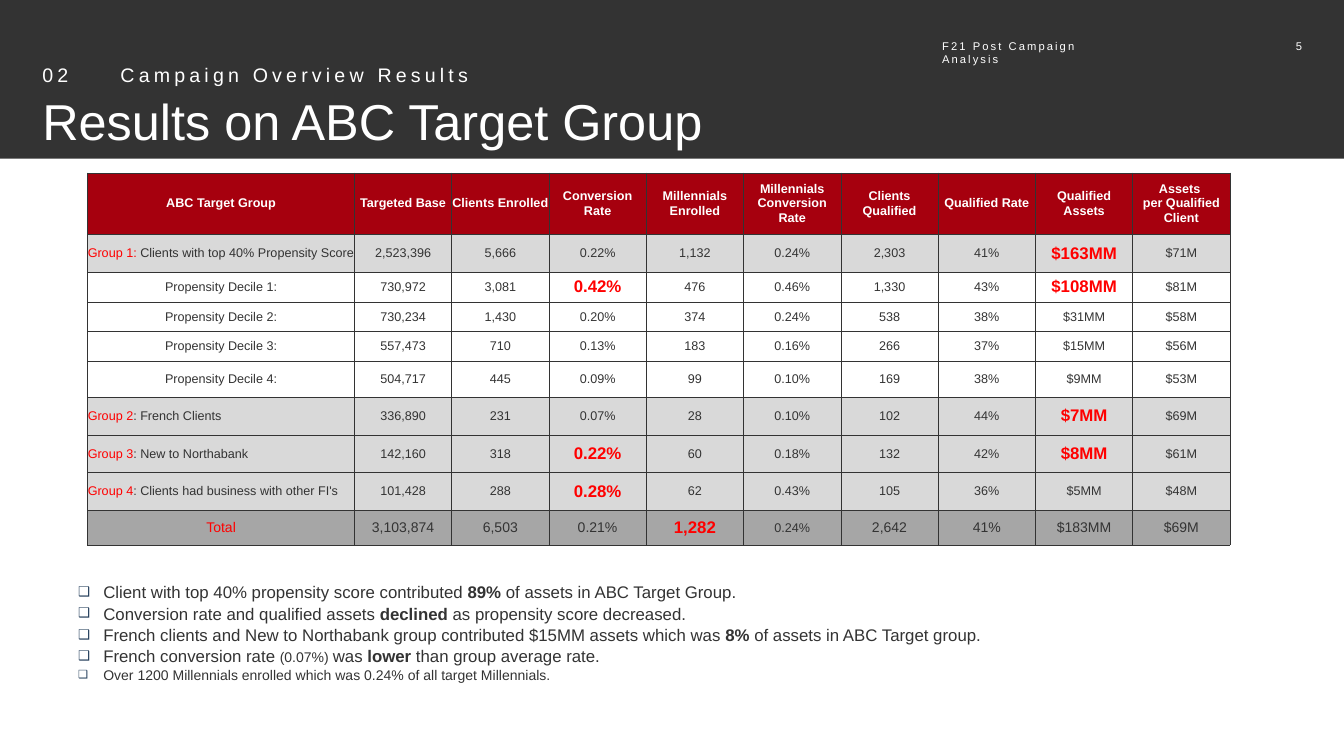
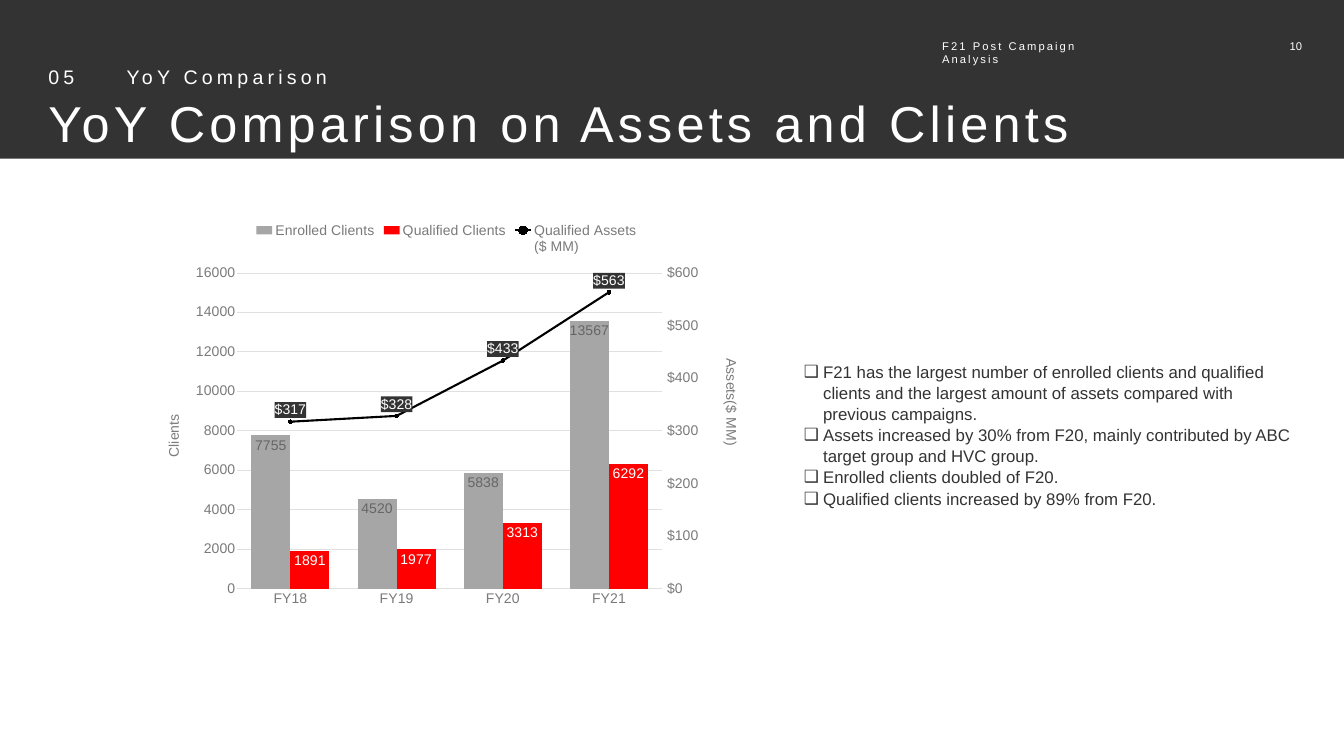
from copy import deepcopy

from lxml import etree
from pptx import Presentation
from pptx.chart.axis import CategoryAxis, ValueAxis
from pptx.chart.data import CategoryChartData as Data
from pptx.dml.color import RGBColor as Rgb
from pptx.enum.chart import XL_CHART_TYPE as Kind
from pptx.enum.chart import XL_LABEL_POSITION as Spot
from pptx.enum.chart import XL_LEGEND_POSITION as Side
from pptx.enum.chart import XL_MARKER_STYLE as Dot
from pptx.enum.chart import XL_TICK_MARK as Tick
from pptx.enum.shapes import MSO_SHAPE as Form
from pptx.enum.text import MSO_ANCHOR as Anchor
from pptx.enum.text import PP_ALIGN as Align
from pptx.oxml import parse_xml
from pptx.oxml.ns import nsdecls, qn
from pptx.util import Emu, Inches, Pt

DARK = Rgb(0x33, 0x33, 0x33)
WHITE = Rgb(0xFF, 0xFF, 0xFF)
BLACK = Rgb(0, 0, 0)
RED = Rgb(0xFF, 0, 0)
WINE = Rgb(0xA6, 0, 0x0E)
PALE = Rgb(0xD9, 0xD9, 0xD9)
GRAY = Rgb(0xA6, 0xA6, 0xA6)
SLATE = Rgb(0x66, 0x66, 0x66)
MUTED = Rgb(0x7A, 0x7A, 0x7A)
RULE = Rgb(0xE0, 0xE0, 0xE0)
NAVY = Rgb(0x23, 0x3E, 0x5B)
FACE = "Arial"

HEADS = ["ABC Target Group", "Targeted Base", "Clients Enrolled",
         "Conversion Rate", "Millennials Enrolled",
         "Millennials\vConversion Rate", "Clients\vQualified",
         "Qualified Rate", "Qualified\vAssets",
         "Assets \vper Qualified Client"]
ROWS = [
    ("Group 1: |Clients with top 40% Propensity Score",
     "2,523,396 5,666 0.22% 1,132 0.24% 2,303 41% *$163MM $71M"),
    ("Propensity Decile 1:",
     "730,972 3,081 *0.42% 476 0.46% 1,330 43% *$108MM $81M"),
    ("Propensity Decile 2:",
     "730,234 1,430 0.20% 374 0.24% 538 38% $31MM $58M"),
    ("Propensity Decile 3:",
     "557,473 710 0.13% 183 0.16% 266 37% $15MM $56M"),
    ("Propensity Decile 4:",
     "504,717 445 0.09% 99 0.10% 169 38% $9MM $53M"),
    ("Group 2|: French Clients",
     "336,890 231 0.07% 28 0.10% 102 44% *$7MM $69M"),
    ("Group 3|: New to Northabank",
     "142,160 318 *0.22% 60 0.18% 132 42% *$8MM $61M"),
    ("Group 4|: Clients had business with other FI's",
     "101,428 288 *0.28% 62 0.43% 105 36% $5MM $48M"),
    ("Total",
     "3,103,874 6,503 0.21% *1,282 0.24% 2,642 41% $183MM $69M"),
]
WIDTHS = [19.84] + [7.24] * 9
HEIGHTS = [8.13, 5, 3.93, 3.93, 3.93, 4.73, 5, 5, 5, 4.6]
BOLD = {"bold": True}
FACTS = [
    ["Client with top 40% propensity score contributed ", ("89% ", BOLD),
     "of assets in ABC Target Group."],
    ["Conversion rate and qualified assets ", ("declined", BOLD),
     " as propensity score decreased."],
    ["French clients and New to Northabank group contributed $15MM assets "
     "which was ", ("8%", BOLD), " of assets in ABC Target group."],
    ["French conversion rate ", ("(0.07%) ", {"size": 20}), "was ",
     ("lower", BOLD), " than group average rate."],
    ["Over 1200 Millennials enrolled which was 0.24% of all target "
     "Millennials."],
]
NOTES = [
    ["F21 has the largest number of enrolled clients and qualified clients "
     "and the largest amount of assets compared with previous campaigns."],
    ["Assets increased by 30% from F20, mainly contributed by ABC target "
     "group and HVC group."],
    ["Enrolled clients doubled of F20."],
    ["Qualified clients increased by 89% from F20."],
]


def style(font, size=None, color=None, bold=None):
    font.name = FACE
    if size:
        font.size = Pt(size)
    if color is not None:
        font.color.rgb = color
    if bold is not None:
        font.bold = bold


def place(owner, spot, **share):
    old = owner.find(qn("c:layout"))
    if old is not None:
        owner.remove(old)
    mode = "".join(f'<c:{k}Mode val="edge"/>' for k in "xy")
    if "w" in share:
        mode = '<c:layoutTarget val="inner"/>' + mode
    size = "".join(f'<c:{k} val="{v}"/>' for k, v in share.items())
    owner.insert(spot, parse_xml(
        f'<c:layout {nsdecls("c")}><c:manualLayout>{mode}{size}'
        '</c:manualLayout></c:layout>'))


class Deck:
    def __init__(self):
        self.file = Presentation()
        self.wide = self.file.slide_width = Inches(26.66)
        self.high = self.file.slide_height = Inches(15)
        self.slide = None

    def x(self, share):
        return Emu(round(self.wide * share / 100))

    def y(self, share):
        return Emu(round(self.high * share / 100))

    def area(self, left, top, wide, high):
        return self.x(left), self.y(top), self.x(wide), self.y(high)

    def page(self, mark, part, title, number, left, top, space):
        self.slide = self.file.slides.add_slide(self.file.slide_layouts[6])
        band = self.slide.shapes.add_shape(
            Form.RECTANGLE, *self.area(0, 0, 100, 21))
        band.shadow.inherit = False
        band.fill.solid()
        band.fill.fore_color.rgb = DARK
        band.line.fill.background()
        page = self.box(94.97, 4.87, 1.91, 2.47)
        page.vertical_anchor = Anchor.MIDDLE
        self.para(page, [number], 16, WHITE, align=Align.RIGHT)
        head = self.box(left, top, 95.72, 11.2)
        self.para(head, [f"{mark}\t{part}"], 28, WHITE, space=6, tab=1.55,
                  lead=1.05)
        self.para(head, [title], 72, WHITE, space=space, lead=1.05)
        self.para(self.box(70.1, 5.2, 14.33, 1.8),
                  ["F21 Post Campaign Analysis"], 16, WHITE, space=3)

    def box(self, left, top, wide, high, side=0, edge=0):
        frame = self.slide.shapes.add_textbox(
            *self.area(left, top, wide, high)).text_frame
        frame.word_wrap = True
        frame.margin_left = frame.margin_right = Inches(side)
        frame.margin_top = frame.margin_bottom = Inches(edge)
        return frame

    def para(self, frame, runs, size, color, bold=None, align=None, lead=None,
             space=0, tab=0, bullet=0, tint=None):
        first = frame.paragraphs[0]
        para = frame.add_paragraph() if first.runs else first
        if align is not None:
            para.alignment = align
        if lead:
            para.line_spacing = lead
        prop = para._p.get_or_add_pPr()
        if bullet:
            prop.set("marL", str(Inches(bullet)))
            prop.set("indent", str(-Inches(bullet)))
            if tint is not None:
                hue = etree.SubElement(prop, qn("a:buClr"))
                etree.SubElement(hue, qn("a:srgbClr"), val=str(tint))
                etree.SubElement(prop, qn("a:buSzPct"), val="80000")
            etree.SubElement(prop, qn("a:buFont"), typeface=FACE)
            etree.SubElement(prop, qn("a:buChar"), char="❑")
        if tab:
            tabs = etree.SubElement(prop, qn("a:tabLst"))
            etree.SubElement(tabs, qn("a:tab"), pos=str(Inches(tab)),
                             algn="l")
        style(para.font, size, color, bold)
        if space:
            prop.find(qn("a:defRPr")).set("spc", str(space * 100))
        for item in runs:
            text, extra = (item, None) if isinstance(item, str) else item
            for spot, line in enumerate(text.split("\v")):
                if spot:
                    para.add_line_break()
                run = para.add_run()
                run.text = line
                if extra:
                    style(run.font, **extra)

    def bullets(self, frame, items, indent, tint=None):
        for runs in items:
            size = 20 if runs[0].startswith("Over") else 24
            self.para(frame, runs, size, DARK, lead=1.05, bullet=indent,
                      tint=tint)

    def cell(self, cell, runs, fill, size, color, bold, align):
        cell.margin_left = cell.margin_right = 0
        cell.margin_top = cell.margin_bottom = 0
        cell.vertical_anchor = Anchor.MIDDLE
        prop = cell._tc.get_or_add_tcPr()
        for edge in "LRTB":
            line = etree.SubElement(prop, qn(f"a:ln{edge}"), w=str(Pt(1)))
            paint = etree.SubElement(line, qn("a:solidFill"))
            etree.SubElement(paint, qn("a:srgbClr"), val=str(DARK))
        if fill is None:
            cell.fill.background()
        else:
            cell.fill.solid()
            cell.fill.fore_color.rgb = fill
        self.para(cell.text_frame, runs, size, color, bold, align)

    def table(self, left, top):
        table = self.slide.shapes.add_table(
            len(HEIGHTS), len(WIDTHS),
            *self.area(left, top, sum(WIDTHS), sum(HEIGHTS))).table
        table.first_row = table.horz_banding = False
        for col, wide in zip(table.columns, WIDTHS):
            col.width = self.x(wide)
        for row, high in zip(table.rows, HEIGHTS):
            row.height = self.y(high)
        for c, head in enumerate(HEADS):
            self.cell(table.cell(0, c), [head], WINE, 18, WHITE, True,
                      Align.CENTER)
        for r, (name, line) in enumerate(ROWS, 1):
            total, group = name == "Total", "|" in name
            fill = GRAY if total else PALE if group else None
            base = 20 if total else 18
            runs = [name]
            if group:
                mark, rest = name.split("|")
                runs = [(mark, {"color": RED}), rest]
            self.cell(table.cell(r, 0), runs, fill, base,
                      RED if total else DARK, False,
                      Align.LEFT if group else Align.CENTER)
            for c, text in enumerate(line.split(), 1):
                hot = text.startswith("*")
                size = 24 if hot else 18 if c == 5 else base
                self.cell(table.cell(r, c), [text.lstrip("*")], fill, size,
                          RED if hot else DARK, hot, Align.CENTER)

    def scale(self, axis, name, turn, left, top, peak, step, form):
        axis.minimum_scale, axis.maximum_scale = 0, peak
        axis.major_unit = step
        axis.format.line.fill.background()
        style(axis.tick_labels.font, 20, MUTED)
        axis.tick_labels.number_format = form
        axis.tick_labels.number_format_is_linked = False
        title = axis.axis_title
        title.text_frame.text = name
        style(title.text_frame.paragraphs[0].font, 20, MUTED, False)
        node = title._element
        body = node.find(".//" + qn("a:bodyPr"))
        body.set("rot", str(turn * 60000))
        body.set("vert", "horz")
        place(node, 1, x=left, y=top)

    def labels(self, series, spot, color):
        marks = series.data_labels
        marks.show_value = True
        marks.position = spot
        style(marks.font, 20, color)
        return marks

    def chart(self, left, top, wide, high):
        data = Data()
        data.categories = ["FY18", "FY19", "FY20", "FY21"]
        data.add_series("Enrolled Clients", [7755, 4520, 5838, 13567])
        data.add_series("Qualified Clients", [1891, 1977, 3313, 6292])
        data.add_series("Qualified Assets\n($ MM)", [317, 328, 433, 563])
        chart = self.slide.shapes.add_chart(
            Kind.COLUMN_CLUSTERED, *self.area(left, top, wide, high),
            data).chart
        style(chart.font, 20, DARK)
        chart.has_title = False
        chart.has_legend = True
        chart.legend.position = Side.TOP
        chart.legend.include_in_layout = False
        style(chart.legend.font, 20, MUTED)
        bars = chart.plots[0]
        bars.gap_width, bars.overlap = 72, 0
        bars.vary_by_categories = False

        cat, val = chart.category_axis, chart.value_axis
        cat.major_tick_mark = val.major_tick_mark = Tick.NONE
        style(cat.tick_labels.font, 20, MUTED)
        cat.format.line.color.rgb = RULE
        cat.format.line.width = Pt(0.75)
        base, left_el = cat._element, val._element
        low, right_el = deepcopy(base), deepcopy(left_el)
        ids = {"c:axId": ("5001", "5002"), "c:crossAx": ("5002", "5001")}
        for tag, pair in ids.items():
            for node, key in zip((low, right_el), pair):
                node.find(qn(tag)).set("val", key)
        right_el.find(qn("c:axPos")).set("val", "r")
        right_el.find(qn("c:crosses")).set("val", "max")
        left_el.addnext(right_el)
        right_el.addnext(low)
        CategoryAxis(low).visible = False
        right = ValueAxis(right_el)
        right.has_major_gridlines = False
        right.major_tick_mark = Tick.OUTSIDE
        val.major_gridlines.format.line.color.rgb = RULE
        val.major_gridlines.format.line.width = Pt(0.75)
        self.scale(val, "Clients", -90, 0.02, 0.49, 16000, 2000, "General")
        self.scale(right, "Assets($ MM)", 90, 0.96, 0.35, 600, 100,
                   '"$"#,##0')

        group = parse_xml(
            f'<c:lineChart {nsdecls("c")}><c:grouping val="standard"/>'
            '<c:varyColors val="0"/><c:marker val="1"/>'
            '<c:axId val="5001"/><c:axId val="5002"/></c:lineChart>')
        node = bars.series[2]._element
        flip = node.find(qn("c:invertIfNegative"))
        if flip is not None:
            node.remove(flip)
        area = base.getparent()
        area.find(qn("c:barChart")).addnext(group)
        group.insert(2, node)
        place(area, 0, x=0.147, y=0.141, w=0.717, h=0.794)

        for series, fill, ink in zip(bars.series, (GRAY, RED),
                                     (SLATE, WHITE)):
            series.format.fill.solid()
            series.format.fill.fore_color.rgb = fill
            self.labels(series, Spot.INSIDE_END, ink)
        trend = chart.plots[1].series[0]
        trend.smooth = False
        trend.format.line.color.rgb = BLACK
        trend.format.line.width = Pt(3)
        trend.marker.style, trend.marker.size = Dot.CIRCLE, 5
        trend.marker.format.fill.solid()
        trend.marker.format.fill.fore_color.rgb = DARK
        trend.marker.format.line.color.rgb = BLACK
        marks = self.labels(trend, Spot.ABOVE, WHITE)
        marks.number_format = '"$"#,##0'
        marks.number_format_is_linked = False
        marks._element.find(qn("c:numFmt")).addnext(parse_xml(
            f'<c:spPr {nsdecls("c", "a")}><a:solidFill>'
            f'<a:srgbClr val="{DARK}"/></a:solidFill></c:spPr>'))


def main():
    deck = Deck()
    deck.page("02", "Campaign Overview Results",
              "Results on ABC Target Group", "5", 3.15, 8.2, 0)
    deck.bullets(deck.box(5.81, 76.87, 92.27, 13.47), FACTS, 0.5, NAVY)
    deck.table(6.53, 22.87)
    deck.page("05", "YoY Comparison",
              "YoY Comparison on Assets and Clients", "10", 3.6, 8.47, 6)
    deck.bullets(deck.box(59.45, 47.33, 37.43, 16.8, 0.1, 0.05), NOTES, 0.38)
    deck.chart(11.18, 28.67, 44.11, 52.6)
    deck.file.save("out.pptx")


if __name__ == "__main__":
    main()
